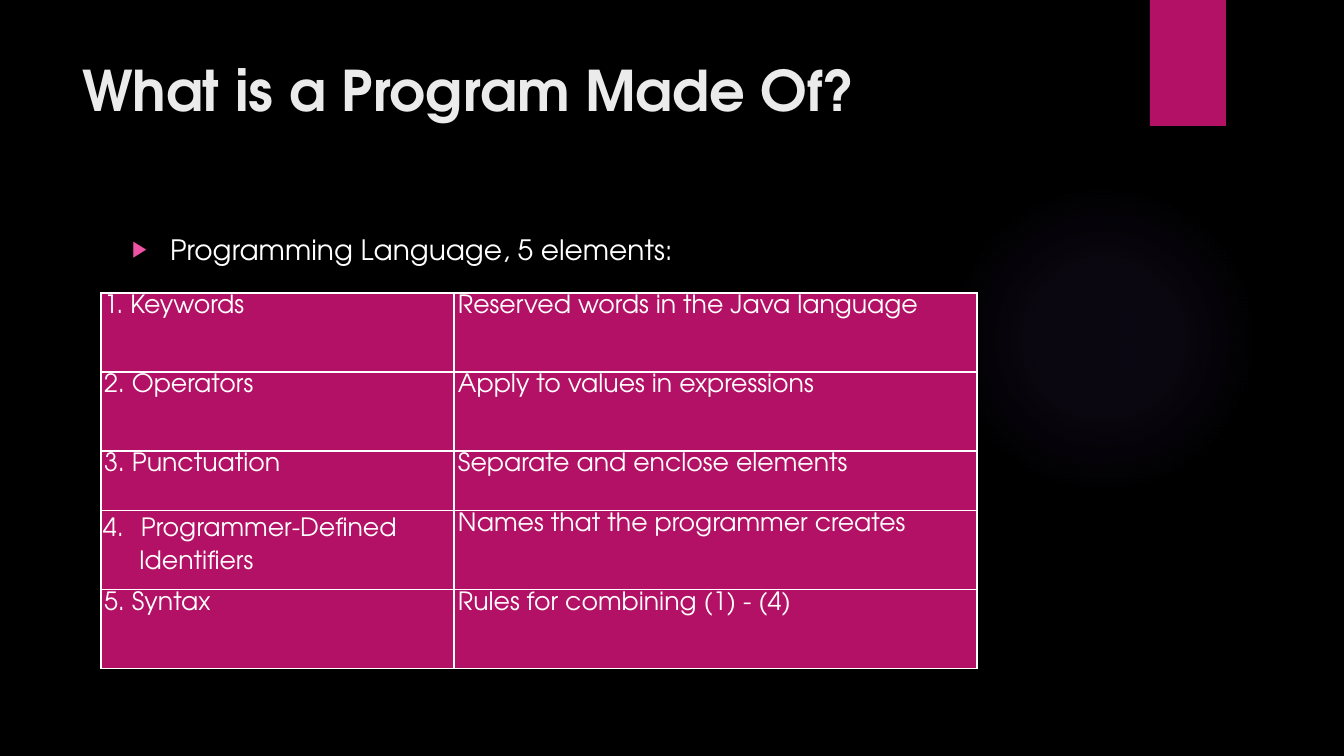
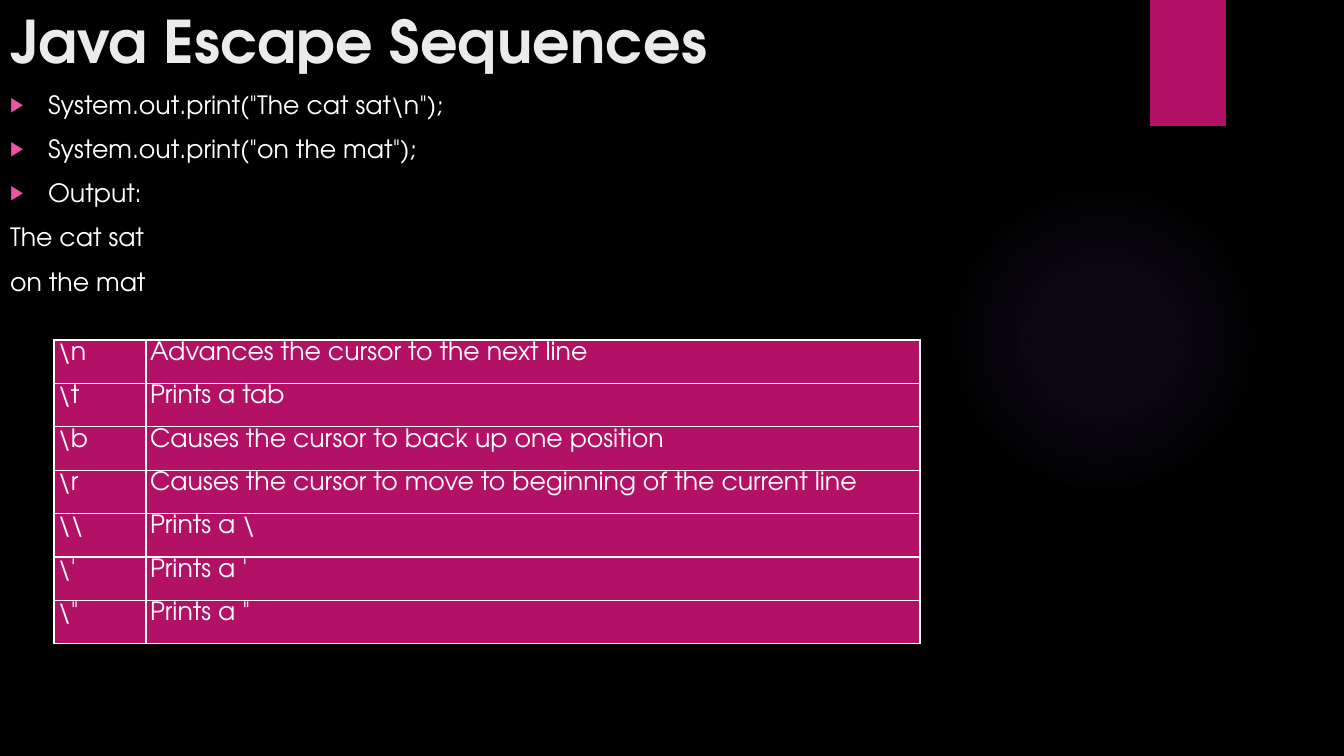
from pptx import Presentation
from pptx.dml.color import RGBColor as RGB
from pptx.enum.shapes import MSO_SHAPE as Form
from pptx.enum.text import MSO_ANCHOR as Anchor, MSO_AUTO_SIZE as Auto, PP_ALIGN as Align
from pptx.oxml import parse_xml
from pptx.util import Pt

PX = 914400 / 100.8
FONT = "TeX Gyre Adventor"
INK = {"back": "000000", "band": "B31166", "glow": "9B6BF2",
       "title": "EBEBEB", "text": "FFFFFF", "mark": "EF53A5"}
NS = 'xmlns:a="http://schemas.openxmlformats.org/drawingml/2006/main"'

# Shared parts: left, top, width, height
GLOW = (949, 184, 310, 310)
BAND = (1150, 0, 76, 126)
STOPS = [(0, 7), (36, 6), (69, 0)]  # position and opacity, percent

# Content: body items are (text, bulleted)
SLIDES = [
    {"title": "What is a Program Made Of?", "size": 40, "head": (72, 50, 1037, 154),
     "body": [("Programming Language, 5 elements:", True)],
     "bsize": 20, "area": (122, 227, 986, 463),
     "at": (101, 293), "cols": [353, 523], "rows": [79, 79, 60, 79, 79], "pads": [3, 4],
     "cells": [
         ("1. Keywords", "Reserved words in the Java language"),
         ("2. Operators", "Apply to values in expressions"),
         ("3. Punctuation", "Separate and enclose elements"),
         ("Programmer‐Defined\nIdentifiers", "Names that the programmer creates"),
         ("5. Syntax", "Rules for combining (1) ‐ (4)")]},
    {"title": "Java Escape Sequences", "size": 42, "head": (0, 0, 1037, 154),
     "body": [('System.out.print("The cat sat\\n");', True),
              ('System.out.print("on the mat");', True),
              ("Output:", True), ("The cat sat", False), ("on the mat", False)],
     "bsize": 18, "area": (0, 84, 1103, 606),
     "at": (54, 340), "cols": [92, 774], "rows": [304 / 7] * 7, "pads": [4, 4],
     "cells": [
         ("\\n", "Advances the cursor to the next line"),
         ("\\t", "Prints a tab"),
         ("\\b", "Causes the cursor to back up one position"),
         ("\\r", "Causes the cursor to move to beginning of the current line"),
         ("\\\\", "Prints a \\"),
         ("\\'", "Prints a '"),
         ('\\"', 'Prints a "')]},
]


def emu(px):
    return round(px * PX)


def color(name):
    return RGB.from_string(INK[name])


def node(xml):
    return parse_xml(xml.replace(">", f" {NS}>", 1) if "/>" not in xml
                     else xml.replace("/>", f" {NS}/>", 1))


def place(shape, box):
    shape.left, shape.top, shape.width, shape.height = map(emu, box)


def style(par, size, ink="text", bold=False):
    par.alignment = Align.LEFT
    for run in par.runs:
        font = run.font
        font.name, font.size, font.bold = FONT, Pt(size), bold
        font.color.rgb = color(ink)


def indent(par, left, first=0):
    props = par._p.get_or_add_pPr()
    props.set("marL", str(emu(left)))
    props.set("indent", str(emu(first)))
    return props


def fill_box(shape, box, text):
    place(shape, box)
    frame = shape.text_frame
    frame.text = text
    frame.word_wrap, frame.auto_size = True, Auto.NONE
    frame.vertical_anchor = Anchor.TOP
    return frame.paragraphs


# Background, glow and band go on the master
def add_base(deck, slide):
    master = deck.slide_master
    back = master.background.fill
    back.solid()
    back.fore_color.rgb = color("back")
    tree = master.placeholders[0].element.getparent()
    forms = [(Form.OVAL, GLOW), (Form.RECTANGLE, BAND)]
    for i, (form, box) in enumerate(forms):
        shape = slide.shapes.add_shape(form, *map(emu, box))
        shape.shadow.inherit = False
        shape.line.fill.background()
        if form == Form.OVAL:
            stops = "".join(
                f'<a:gs pos="{pos}000"><a:srgbClr val="{INK["glow"]}">'
                f'<a:alpha val="{alpha}000"/></a:srgbClr></a:gs>' for pos, alpha in STOPS)
            shape.element.spPr.insert(2, parse_xml(
                f'<a:gradFill {NS} rotWithShape="1"><a:gsLst>{stops}</a:gsLst>'
                '<a:path path="circle"><a:fillToRect l="50000" t="50000" '
                'r="50000" b="50000"/></a:path></a:gradFill>'))
        else:
            shape.fill.solid()
            shape.fill.fore_color.rgb = color("band")
        shape.element.nvSpPr.cNvPr.set("id", str(100 + i))
        tree.insert(2 + i, shape.element)


def add_text(slide, data):
    for par in fill_box(slide.shapes.title, data["head"], data["title"]):
        style(par, data["size"], "title", True)
    lines = "\n".join(text for text, _ in data["body"])
    pars = fill_box(slide.placeholders[1], data["area"], lines)
    for par, (_, marked) in zip(pars, data["body"]):
        style(par, data["bsize"])
        par.space_before = Pt(10)
        props = indent(par, 38, -38) if marked else indent(par, 0)
        marks = [f'<a:buClr {NS}><a:srgbClr val="{INK["mark"]}"/></a:buClr>',
                 f'<a:buSzPct {NS} val="80000"/>',
                 f'<a:buChar {NS} char="▶"/>'] if marked else [f'<a:buNone {NS}/>']
        for mark in marks:
            props.append(parse_xml(mark))


def set_cell(cell, text, pad):
    cell.margin_left = cell.margin_right = cell.margin_top = cell.margin_bottom = 0
    cell.vertical_anchor = Anchor.TOP
    props = cell._tc.get_or_add_tcPr()
    for side in "LRTB":
        props.append(parse_xml(
            f'<a:ln{side} {NS} w="12700"><a:solidFill><a:srgbClr val="{INK["text"]}"/>'
            f'</a:solidFill></a:ln{side}>'))
    cell.fill.solid()
    cell.fill.fore_color.rgb = color("band")
    frame = cell.text_frame
    frame.text = text
    split = len(frame.paragraphs) > 1
    for i, par in enumerate(frame.paragraphs):
        style(par, 18)
        par.line_spacing = Pt(22 if split else 18)
        par.space_before = Pt(1.6 if split else 2)
        if split and i == 0:  # numbered item that runs over two lines
            indent(par, 40, -38).append(
                parse_xml(f'<a:buAutoNum {NS} type="arabicPeriod" startAt="4"/>'))
        else:
            indent(par, 38 if split else pad)


def add_grid(slide, data):
    cols, rows = data["cols"], data["rows"]
    box = (*data["at"], sum(cols), sum(rows))
    table = slide.shapes.add_table(len(rows), len(cols), *map(emu, box)).table
    table.first_row = table.horz_banding = False
    for col, wide in zip(table.columns, cols):
        col.width = emu(wide)
    for row, tall, texts in zip(table.rows, rows, data["cells"]):
        row.height = emu(tall)
        for cell, text, pad in zip(row.cells, texts, data["pads"]):
            set_cell(cell, text, pad)


def main():
    deck = Presentation()
    deck.slide_width, deck.slide_height = emu(1344), emu(756)
    for i, data in enumerate(SLIDES):
        slide = deck.slides.add_slide(deck.slide_layouts[1])
        if i == 0:
            add_base(deck, slide)
        add_text(slide, data)
        add_grid(slide, data)
    deck.save("out.pptx")


if __name__ == "__main__":
    main()
